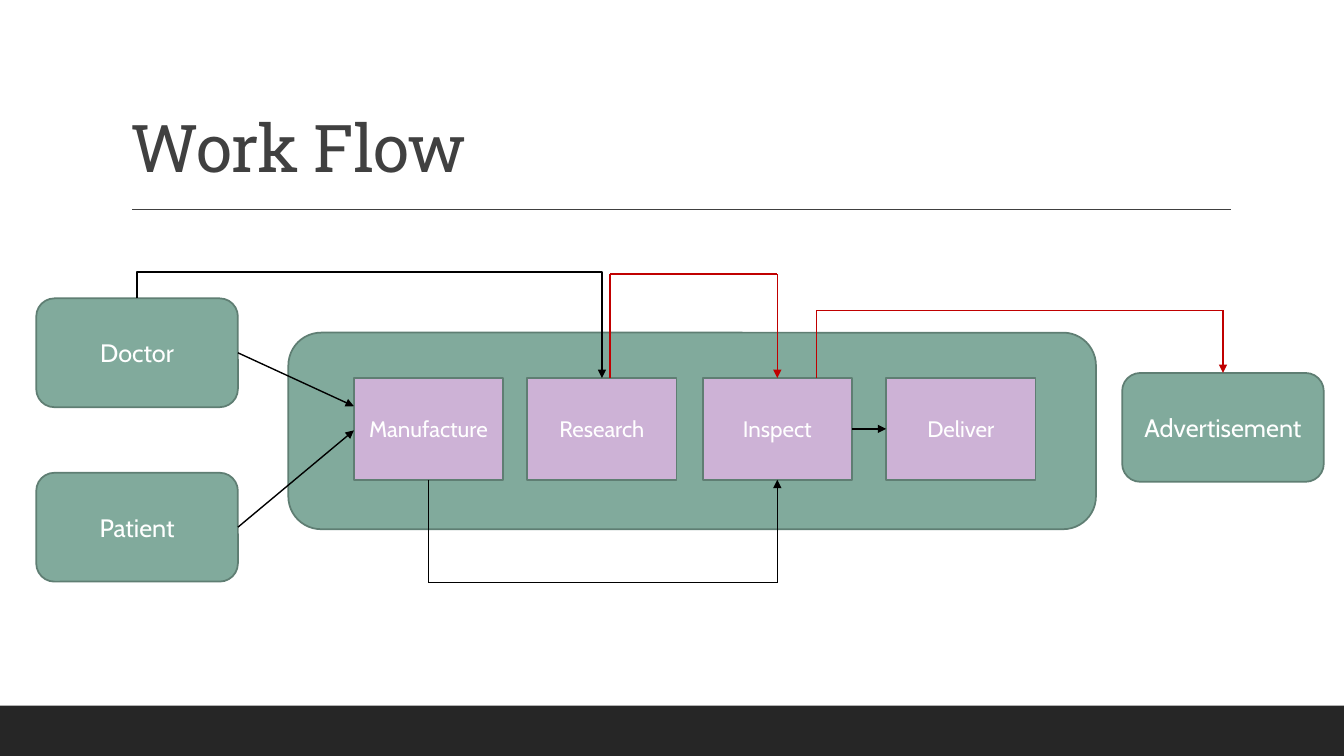
from dataclasses import dataclass
from itertools import pairwise

from lxml.etree import SubElement
from pptx import Presentation
from pptx.dml.color import RGBColor
from pptx.enum.shapes import MSO_CONNECTOR as Link, MSO_SHAPE as Shape
from pptx.enum.text import MSO_ANCHOR as Anchor, PP_ALIGN as Align
from pptx.oxml.ns import qn
from pptx.util import Inches, Pt

COLOURS = {
    "band": "262626", "ink": "404040", "green": "81AA9C", "edge": "5F7E73",
    "lilac": "CDB2D6", "white": "FFFFFF", "black": "000000", "red": "C00000",
}
COLUMNS, ROWS = 13.33, 7.5
CELL = Inches(1)
TOP, LEFT, BOTTOM, RIGHT = range(4)


@dataclass
class Box:
    x: float
    y: float
    w: float
    h: float

    def inner(self, x, y, w, h):
        return Box(self.x + x, self.y + y, w, h)

    def emu(self):
        return [round(v * CELL) for v in (self.x, self.y, self.w, self.h)]


def colour(name):
    return RGBColor.from_string(COLOURS[name])


def write(frame, text, align, anchor, line_spacing=None, **font):
    frame.word_wrap = True
    frame.vertical_anchor = anchor
    paragraph = frame.paragraphs[0]
    paragraph.alignment = align
    paragraph.line_spacing = line_spacing
    run = paragraph.add_run()
    run.text = text
    run.font.color.rgb = colour(font.pop("ink"))
    for key, value in font.items():
        setattr(run.font, key, value)
    return run


def block(slide, box, form, fill, edge=None, text=None, size=18):
    body = slide.shapes.add_shape(form, *box.emu())
    body.shadow.inherit = False
    body.fill.solid()
    body.fill.fore_color.rgb = colour(fill)
    if edge:
        body.line.color.rgb = colour(edge)
        body.line.width = Pt(1.25)
    else:
        body.line.fill.background()
    if text:
        write(body.text_frame, text, Align.CENTER, Anchor.MIDDLE,
              ink="white", name="Cabin", size=Pt(size))
    return body


def style_link(link, ink, arrow):
    link.line.color.rgb = colour(ink)
    link.line.width = Pt(1)
    properties = link._element.spPr
    if arrow:
        SubElement(properties.find(qn("a:ln")), qn("a:tailEnd"), type="triangle")
    SubElement(properties, qn("a:effectLst"))


def side(body, site):
    x, y = body.left + body.width // 2, body.top + body.height // 2
    return {
        TOP: (x, body.top), LEFT: (body.left, y),
        BOTTOM: (x, body.top + body.height), RIGHT: (body.left + body.width, y),
    }[site]


def route(slide, points, ink="black", begin=None, end=None):
    legs = [slide.shapes.add_connector(Link.STRAIGHT, *a, *b)
            for a, b in pairwise(points)]
    if begin:
        legs[0].begin_connect(*begin)
    if end:
        legs[-1].end_connect(*end)
    for leg in legs:
        style_link(leg, ink, leg is legs[-1])


def detour(slide, start, finish, level, ink="black", begin=None, end=None):
    points = [start, (start[0], level), (finish[0], level), finish]
    route(slide, points, ink, begin, end)


def overhead_elbow(slide, start, finish, level):
    across, drop = finish[0] - start[0], finish[1] - start[1]
    x, y = (start[0] + finish[0]) // 2, (start[1] + finish[1]) // 2
    elbow = slide.shapes.add_connector(
        Link.ELBOW, x + drop // 2, y - across // 2, x - drop // 2, y + across // 2)
    properties = elbow._element.spPr
    properties.find(qn("a:xfrm")).set("rot", str(270 * 60000))
    guides = properties.find(qn("a:prstGeom")).get_or_add_avLst()
    bend = round((level - start[1]) / drop * 100000)
    SubElement(guides, qn("a:gd"), name="adj1", fmla=f"val {bend}")
    style_link(elbow, "black", True)


def draw_frame(slide, page):
    block(slide, page.inner(0, 7, page.w, 0.5), Shape.RECTANGLE, "band")
    x, y, width, _ = page.inner(1.31, 2.08, 10.9, 0).emu()
    rule = slide.shapes.add_connector(Link.STRAIGHT, x, y, x + width, y)
    style_link(rule, "ink", False)


def draw_title(slide, box):
    title = slide.shapes.add_textbox(*box.emu())
    run = write(title.text_frame, "Work Flow", Align.LEFT, Anchor.BOTTOM, 0.9,
                ink="ink", name="Roboto Slab", size=Pt(47))
    run.font._element.set("spc", "-50")


def draw_flow(slide, box):
    block(slide, box.inner(2.5, 0.6, 8.01, 1.95), Shape.ROUNDED_RECTANGLE,
          "green", "edge")
    doctor, patient, advertisement = [
        block(slide, box.inner(x, y, 2, 1.08), Shape.ROUNDED_RECTANGLE,
              "green", "edge", text)
        for text, x, y in (("Doctor", 0, 0.26), ("Patient", 0, 1.99),
                           ("Advertisement", 10.77, 1))]
    manufacture, research, inspect, deliver = [
        block(slide, box.inner(x, 1.05, 1.48, 1.01), Shape.RECTANGLE,
              "lilac", "edge", text, 16)
        for text, x in (("Manufacture", 3.15), ("Research", 4.87),
                        ("Inspect", 6.61), ("Deliver", 8.43))]

    def spot(x, y):
        return tuple(box.inner(x, y, 0, 0).emu()[:2])

    for person, entry in ((doctor, 1.33), (patient, 1.57)):
        route(slide, [side(person, RIGHT), spot(3.15, entry)],
              begin=(person, RIGHT))
    overhead_elbow(slide, side(doctor, TOP), side(research, TOP), spot(0, 0)[1])
    detour(slide, side(manufacture, BOTTOM), side(inspect, BOTTOM),
           spot(0, 3.08)[1], begin=(manufacture, BOTTOM), end=(inspect, BOTTOM))
    detour(slide, spot(5.69, 1.05), side(inspect, TOP), spot(0, 0.02)[1],
           "red", end=(inspect, TOP))
    route(slide, [side(inspect, RIGHT), side(deliver, LEFT)],
          begin=(inspect, RIGHT), end=(deliver, LEFT))
    detour(slide, spot(7.74, 1.05), side(advertisement, TOP), spot(0, 0.38)[1],
           "red", end=(advertisement, TOP))


def main():
    deck = Presentation()
    deck.slide_width, deck.slide_height = Inches(COLUMNS), Inches(ROWS)
    slide = deck.slides.add_slide(deck.slide_layouts[6])
    page = Box(0, 0, COLUMNS, ROWS)
    draw_frame(slide, page)
    draw_title(slide, page.inner(1.2, 0.31, 11, 1.59))
    draw_flow(slide, page.inner(0.36, 2.7, 12.77, 3.08))
    deck.save("out.pptx")


if __name__ == "__main__":
    main()
